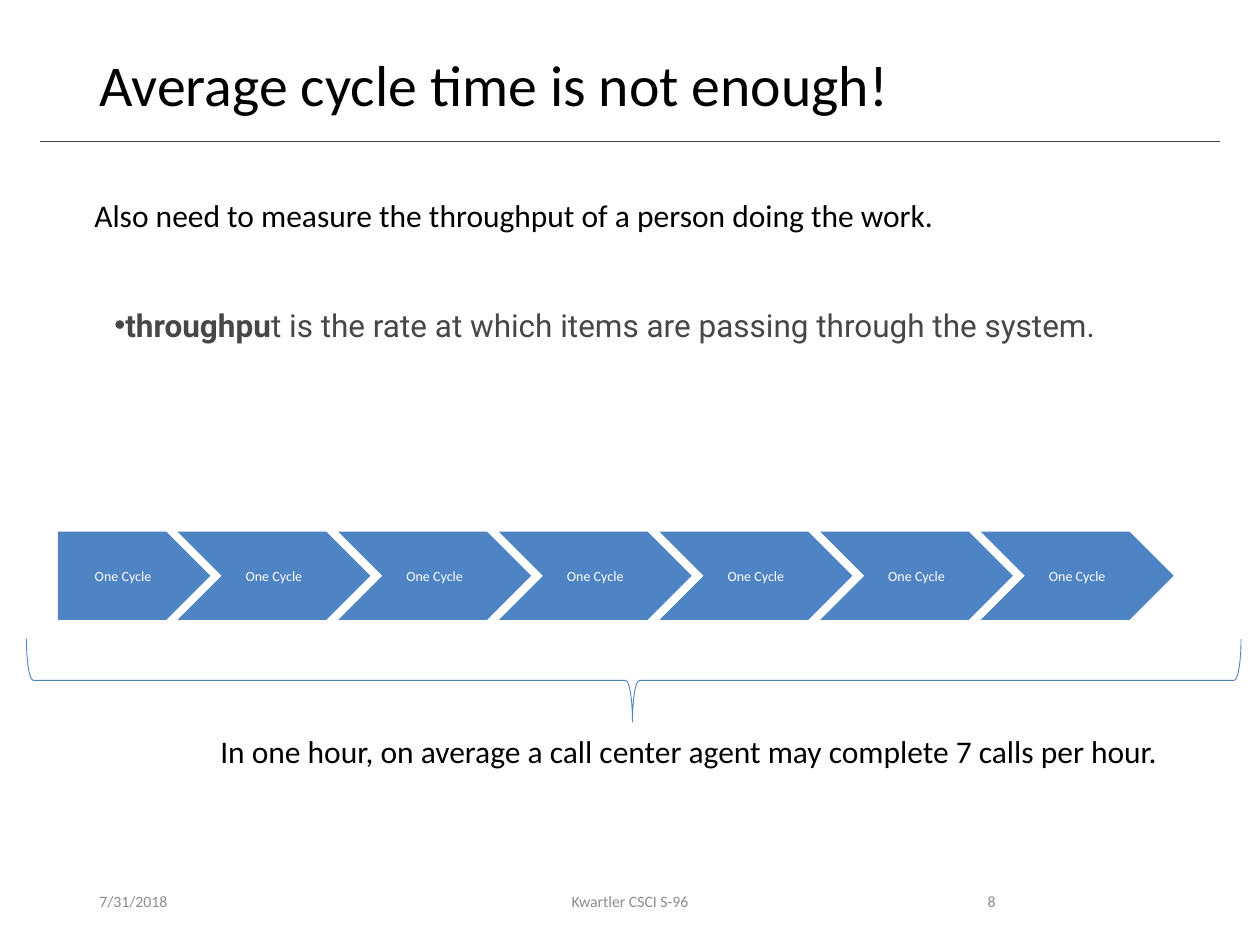
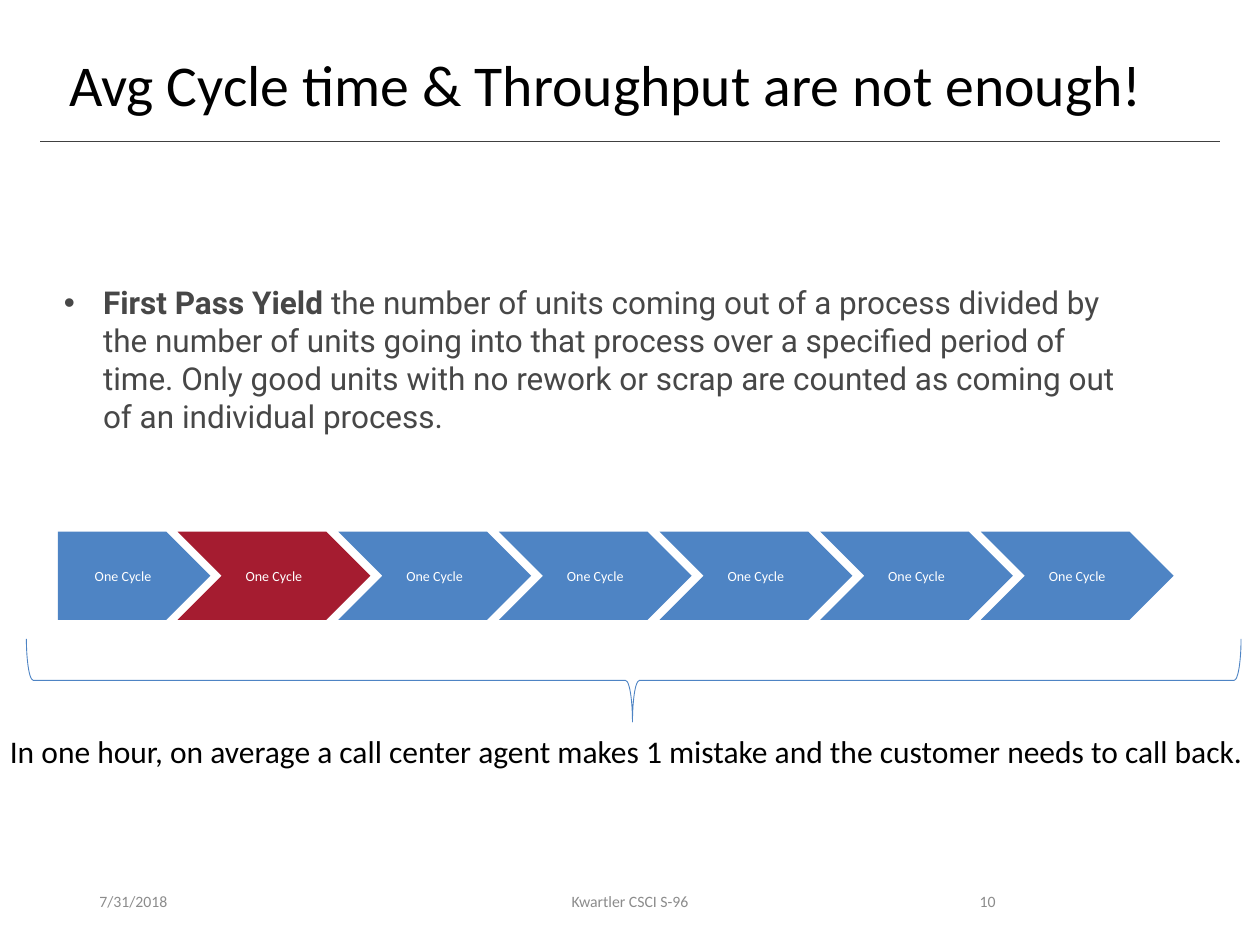
from dataclasses import dataclass
from typing import Optional

from lxml.etree import SubElement
from pptx import Presentation
from pptx.dml.color import RGBColor
from pptx.enum.shapes import MSO_CONNECTOR, MSO_SHAPE
from pptx.enum.text import MSO_ANCHOR, PP_ALIGN
from pptx.oxml.ns import qn
from pptx.util import Inches, Pt


# Theme: colours, fonts and type styles
@dataclass(frozen=True)
class TextStyle:
    size: float
    colour: str
    font: str = "Calibri"


@dataclass(frozen=True)
class Theme:
    blue: str = "4E84C4"
    crimson: str = "A51C30"
    rule: str = "404040"
    line_width: float = 0.5
    title: TextStyle = TextStyle(33, "000000")
    body: TextStyle = TextStyle(18, "000000")
    definition: TextStyle = TextStyle(18, "474747", "Roboto")
    footer: TextStyle = TextStyle(9, "8C8C8C")
    cycle: TextStyle = TextStyle(8, "FFFFFF")


THEME = Theme()


@dataclass(frozen=True)
class Area:
    left: float
    top: float
    width: float
    height: float

    def lengths(self) -> list:
        return [Inches(n) for n in (self.left, self.top, self.width, self.height)]


@dataclass(frozen=True)
class Definition:
    area: Area
    term: str
    meaning: str
    hanging: float = 0


@dataclass(frozen=True)
class CycleSlide:
    title: str
    title_area: Area
    definition: Definition
    caption: str
    caption_area: Area
    number: int
    intro: str = ""
    failed_cycle: Optional[int] = None


# Text helpers
def add_span(para, text: str, style: TextStyle, bold: bool = False) -> None:
    span = para.add_run()
    span.text = text
    formats = {"name": style.font, "size": Pt(style.size), "bold": bold}
    for name, value in formats.items():
        setattr(span.font, name, value)
    span.font.color.rgb = RGBColor.from_string(style.colour)


def add_text(page, area: Area, text: str, style: TextStyle, wrap: bool = True,
             anchor=MSO_ANCHOR.TOP, align=PP_ALIGN.LEFT):
    box = page.shapes.add_textbox(*area.lengths())
    frame = box.text_frame
    for name, value in {"word_wrap": wrap, "vertical_anchor": anchor}.items():
        setattr(frame, name, value)
    para = frame.paragraphs[0]
    para.alignment = align
    if text:
        add_span(para, text, style)
    return para


def add_definition(page, item: Definition) -> None:
    para = add_text(page, item.area, "", THEME.definition)
    properties = para._p.get_or_add_pPr()
    properties.set("marL", str(Inches(item.hanging)))
    properties.set("indent", str(-Inches(item.hanging)))
    SubElement(properties, qn("a:buFont"), typeface="Arial")
    SubElement(properties, qn("a:buChar"), char="•")
    add_span(para, item.term, THEME.definition, bold=True)
    add_span(para, item.meaning, THEME.definition)


# Frame shared by the slides: title, rule and footer
def add_frame(page, content: CycleSlide) -> None:
    rule = page.shapes.add_connector(
        MSO_CONNECTOR.STRAIGHT, Inches(0.32), Inches(1.12), Inches(9.68), Inches(1.12))
    rule.line.color.rgb = RGBColor.from_string(THEME.rule)
    rule.line.width = Pt(THEME.line_width)
    SubElement(rule._element.spPr, qn("a:effectLst"))

    title = add_text(page, content.title_area, content.title, THEME.title)
    title.line_spacing = 0.9

    footers = (
        (0.69, 2.25, "7/31/2018", PP_ALIGN.LEFT),
        (3.31, 3.38, "Kwartler CSCI S-96", PP_ALIGN.CENTER),
        (7.06, 0.94, str(content.number), PP_ALIGN.RIGHT),
    )
    for left, width, text, align in footers:
        add_text(page, Area(left, 6.95, width, 0.4), text, THEME.footer,
                 anchor=MSO_ANCHOR.MIDDLE, align=align)


# Row of cycles: one pentagon, then evenly spaced chevrons
def add_cycles(page, failed: Optional[int], count: int = 7) -> None:
    top, height = 4.22, 0.7
    first_chevron, step = 1.41, 1.275
    for index in range(count):
        if index == 0:
            kind, area = MSO_SHAPE.PENTAGON, Area(0.46, top, 1.21, height)
        else:
            left = first_chevron + (index - 1) * step
            kind, area = MSO_SHAPE.CHEVRON, Area(left, top, 1.53, height)
        cycle = page.shapes.add_shape(kind, *area.lengths())
        cycle.shadow.inherit = False
        cycle.fill.solid()
        colour = THEME.crimson if index == failed else THEME.blue
        cycle.fill.fore_color.rgb = RGBColor.from_string(colour)
        cycle.line.fill.background()
        cycle.text_frame.vertical_anchor = MSO_ANCHOR.MIDDLE
        para = cycle.text_frame.paragraphs[0]
        para.alignment = PP_ALIGN.CENTER
        add_span(para, "One Cycle", THEME.cycle)


def add_brace(page) -> None:
    brace = page.shapes.add_shape(
        MSO_SHAPE.LEFT_BRACE, *Area(4.7, 0.58, 0.66, 9.64).lengths())
    brace.rotation = 270
    brace.adjustments[0] = 0.083
    brace.adjustments[1] = 0.499
    brace.shadow.inherit = False
    brace.fill.background()
    brace.line.color.rgb = RGBColor.from_string(THEME.blue)
    brace.line.width = Pt(THEME.line_width)


def add_cycle_slide(deck, content: CycleSlide) -> None:
    page = deck.slides.add_slide(deck.slide_layouts[6])
    add_frame(page, content)
    if content.intro:
        add_text(page, Area(0.65, 1.51, 6.88, 0.4), content.intro, THEME.body, wrap=False)
    add_definition(page, content.definition)
    add_cycles(page, content.failed_cycle)
    add_brace(page)
    add_text(page, content.caption_area, content.caption, THEME.body, wrap=False)


# Content
SLIDES = (
    CycleSlide(
        title="Average cycle time is not enough!",
        title_area=Area(0.69, 0.4, 8.62, 0.65),
        intro="Also need to measure the throughput of a person doing the work.",
        definition=Definition(
            Area(0.81, 2.38, 8.16, 0.4), "throughpu",
            "t is the rate at which items are passing through the system."),
        caption="In one hour, on average a call center agent may complete 7 calls per hour.",
        caption_area=Area(1.65, 5.76, 7.67, 0.4),
        number=8,
    ),
    CycleSlide(
        title="Avg Cycle time & Throughput are not enough!",
        title_area=Area(0.45, 0.4, 9.09, 0.65),
        definition=Definition(
            Area(0.41, 2.2, 8.76, 1.31), "First Pass Yield ",
            "the number of units coming out of a process divided by the number of units "
            "going into that process over a specified period of time. Only good units "
            "with no rework or scrap are counted as coming out of an individual process.",
            hanging=0.31),
        caption="In one hour, on average a call center agent makes 1 mistake "
                "and the customer needs to call back.",
        caption_area=Area(-0.02, 5.76, 10.05, 0.4),
        number=10,
        failed_cycle=1,
    ),
)

deck = Presentation()
deck.slide_width, deck.slide_height = Inches(10), Inches(7.5)
for slide_content in SLIDES:
    add_cycle_slide(deck, slide_content)
deck.save("out.pptx")
